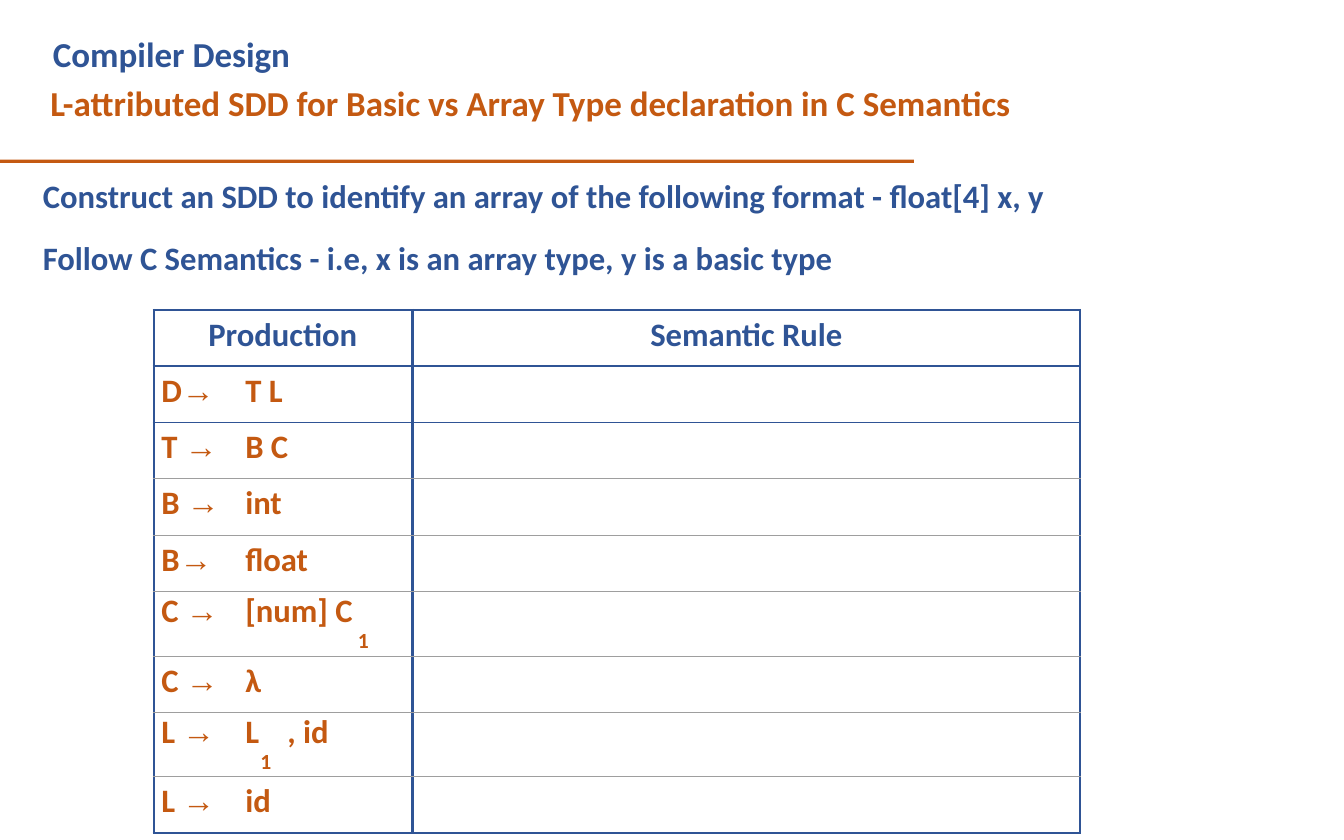
"""Build the slide on an L-attributed SDD for array declarations in C."""
from dataclasses import dataclass

from lxml.etree import SubElement
from pptx import Presentation
from pptx.dml.color import RGBColor
from pptx.enum.shapes import MSO_SHAPE
from pptx.enum.text import MSO_ANCHOR, MSO_AUTO_SIZE, PP_ALIGN
from pptx.oxml.ns import qn
from pptx.util import Inches, Pt


@dataclass(frozen=True)
class Theme:
    blue: str = "2F5495"
    orange: str = "C45911"
    grey: str = "9E9E9E"
    font: str = "Calibri"
    arrow_font: str = "Arial"
    title_size: float = 30
    body_size: float = 28
    subscript_size: float = 18.5
    thick: float = 2.25
    thin: float = 0.75


class SlideBuilder:
    def __init__(self, slide, theme):
        self.slide = slide
        self.theme = theme

    def style(self, paragraph, size, color, indent=0.0, right=0.0, tabs=(),
              before=0, line=None, align=PP_ALIGN.LEFT):
        properties = paragraph._p.get_or_add_pPr()
        properties.set("marL", str(Inches(indent)))
        properties.set("marR", str(Inches(right)))
        properties.set("indent", "0")
        if tabs:
            stops = SubElement(properties, qn("a:tabLst"))
            for stop in tabs:
                SubElement(stops, qn("a:tab"), pos=str(Inches(stop)), algn="l")
        paragraph.alignment = align
        paragraph.space_before = Pt(before)
        if line:
            paragraph.line_spacing = Pt(line)
        font = paragraph.font
        font.name, font.size, font.bold = self.theme.font, Pt(size), True
        font.color.rgb = RGBColor.from_string(color)

    def frame(self, shape, top_inset):
        text_frame = shape.text_frame
        text_frame.word_wrap = True
        text_frame.auto_size = MSO_AUTO_SIZE.NONE
        text_frame.vertical_anchor = MSO_ANCHOR.TOP
        text_frame.margin_left = text_frame.margin_right = text_frame.margin_bottom = 0
        text_frame.margin_top = Inches(top_inset)
        return text_frame

    def title(self, course, topic, left, top, width, height):
        heading = self.slide.shapes.title
        heading.left, heading.top = Inches(left), Inches(top)
        heading.width, heading.height = Inches(width), Inches(height)
        text_frame = self.frame(heading, 0.1)
        text_frame.text = f"{course}\n{topic}"
        first, second = text_frame.paragraphs
        size = self.theme.title_size
        self.style(first, size, self.theme.blue, indent=0.04)
        self.style(second, size, self.theme.orange, indent=0.01, before=6)

    def rule(self, left, top, width, height):
        bar = self.slide.shapes.add_shape(
            MSO_SHAPE.RECTANGLE, Inches(left), Inches(top), Inches(width), Inches(height))
        bar.shadow.inherit = False
        bar.fill.solid()
        bar.fill.fore_color.rgb = RGBColor.from_string(self.theme.orange)
        bar.line.fill.background()

    def text(self, lines, left, top, width, height, gap):
        box = self.slide.shapes.add_textbox(
            Inches(left), Inches(top), Inches(width), Inches(height))
        text_frame = self.frame(box, 0.01)
        text_frame.text = "\n".join(lines)
        for number, paragraph in enumerate(text_frame.paragraphs):
            self.style(paragraph, self.theme.body_size, self.theme.blue,
                       indent=0.01, before=gap if number else 0)

    def border(self, cell, top, bottom):
        side = (self.theme.blue, self.theme.thick)
        properties = cell._tc.get_or_add_tcPr()
        edges = {"a:lnL": side, "a:lnR": side, "a:lnT": top, "a:lnB": bottom}
        for tag, (color, width) in edges.items():
            line = SubElement(properties, qn(tag), w=str(Pt(width)))
            fill = SubElement(line, qn("a:solidFill"))
            SubElement(fill, qn("a:srgbClr"), val=color)

    def production(self, cell, head, body, subscript):
        paragraph = cell.text_frame.paragraphs[0]
        self.style(paragraph, self.theme.body_size, self.theme.orange, indent=0.09,
                   tabs=(1, 1.5) if "\t" in body else (1,),
                   line=31.8 if subscript else None)
        paragraph.add_run().text = head
        arrow = paragraph.add_run()
        arrow.text = "→\t"
        arrow.font.name = self.theme.arrow_font
        paragraph.add_run().text = body
        if subscript:
            align, right = subscript
            index = cell.text_frame.add_paragraph()
            index.text = "1"
            self.style(index, self.theme.subscript_size, self.theme.orange,
                       right=right, line=19.5, align=align)

    def grammar(self, headings, productions, left, top, widths, height, tall):
        theme = self.theme
        count = len(productions) + 1
        table = self.slide.shapes.add_table(
            count, len(widths), Inches(left), Inches(top),
            Inches(sum(widths)), Inches(height * count)).table
        table.first_row = table.horz_banding = False
        for column, width in zip(table.columns, widths):
            column.width = Inches(width)
        heavy = (theme.blue, theme.thick)
        edges = [heavy, heavy, (theme.blue, theme.thin)]
        edges += [(theme.grey, theme.thin)] * (count - 3) + [heavy]
        subscripts = [None] + [subscript for _, _, subscript in productions]
        for number, (row, subscript) in enumerate(zip(table.rows, subscripts)):
            row.height = Inches(tall if subscript else height)
            for cell in row.cells:
                cell.margin_left = cell.margin_right = cell.margin_bottom = 0
                cell.margin_top = Inches(0.04 if subscript else 0.06)
                self.border(cell, edges[number], edges[number + 1])
                cell.fill.background()
        placings = ((0.65, PP_ALIGN.LEFT), (0, PP_ALIGN.CENTER))
        for cell, heading, (indent, align) in zip(table.rows[0].cells, headings, placings):
            cell.text = heading
            self.style(cell.text_frame.paragraphs[0], theme.body_size, theme.blue,
                       indent=indent, align=align)
        for number, production in enumerate(productions, 1):
            self.production(table.cell(number, 0), *production)


def main():
    deck = Presentation()
    deck.slide_width, deck.slide_height = Inches(16), Inches(10)
    builder = SlideBuilder(deck.slides.add_slide(deck.slide_layouts[5]), Theme())
    builder.title("Compiler Design",
                  "L-attributed SDD for Basic vs Array Type declaration in C Semantics",
                  0.59, 0.29, 11.46, 1.19)
    builder.rule(0, 1.9, 10.88, 0.04)
    productions = [
        ("D", "T L", None),
        ("T ", "B C", None),
        ("B ", "int", None),
        ("B", "float", None),
        ("C ", "[num] C", (PP_ALIGN.RIGHT, 0.52)),
        ("C ", "λ", None),
        ("L ", "L\t, id", (PP_ALIGN.CENTER, 0.41)),
        ("L ", "id", None),
    ]
    builder.grammar(("Production", "Semantic Rule"), productions,
                    1.83, 3.69, (3.08, 7.95), 0.67, 0.77)
    builder.text(
        ("Construct an SDD to identify an array of the following format - float[4] x, y",
         "Follow C Semantics - i.e, x is an array type, y is a basic type"),
        0.5, 2.08, 12.2, 1.24, 20.1)
    deck.save("out.pptx")


if __name__ == "__main__":
    main()
